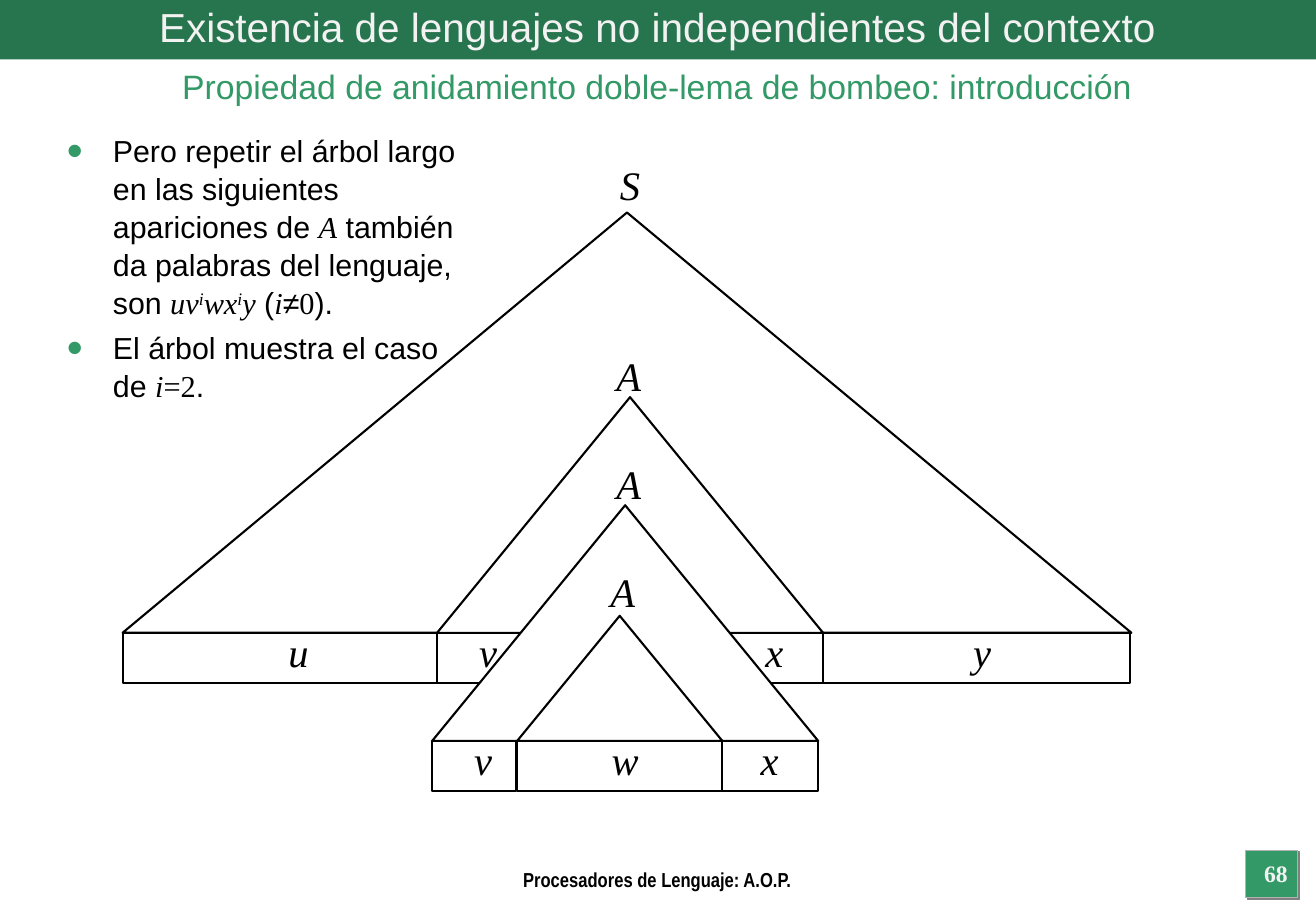
from dataclasses import dataclass

from lxml.etree import SubElement
from pptx import Presentation
from pptx.dml.color import RGBColor
from pptx.enum.shapes import MSO_SHAPE
from pptx.enum.text import MSO_ANCHOR, MSO_AUTO_SIZE, PP_ALIGN
from pptx.oxml.ns import qn
from pptx.shapes.autoshape import Shape
from pptx.slide import Slide
from pptx.util import Inches, Pt

COLORS = {"banner": "27754E", "green": "339966", "pale": "F2F2F2",
          "black": "000000", "white": "FFFFFF", "gray": "B2B2B2", "shade": "808080"}
SANS, NARROW, SERIF = "Arial", "Arial Narrow", "Times New Roman"
CELL_HEIGHT = 0.41
LABEL_WIDTH, LABEL_HEIGHT = 0.4, 0.5


@dataclass(frozen=True)
class Node:
    symbol: str
    label_center: float
    label_top: float
    left: float
    top: float
    width: float
    fill: str | None = "white"


@dataclass(frozen=True)
class Cell:
    symbol: str
    label_center: float
    left: float
    width: float


@dataclass(frozen=True)
class Tree:
    base: float
    nodes: tuple[Node, ...]
    cells: tuple[Cell, ...]


TREES = (
    Tree(5.21,
         (Node("S", 5.19, 1.27, 1.01, 1.75, 8.31, None),
          Node("A", 5.18, 2.84, 3.6, 3.27, 3.18)),
         (Cell("u", 2.46, 1.01, 2.59), Cell("v", 4.02, 3.6, 0.69),
          Cell("x", 6.38, 5.99, 0.79), Cell("y", 8.09, 6.78, 2.53))),
    Tree(6.1,
         (Node("A", 5.18, 3.73, 3.56, 4.16, 3.18),
          Node("A", 5.13, 4.62, 4.26, 5.07, 1.69)),
         (Cell("v", 3.98, 3.56, 0.69), Cell("w", 5.14, 4.26, 1.69),
          Cell("x", 6.34, 5.95, 0.79))),
)

MATH = {"font": SERIF, "italic": True}
POWER = MATH | {"raised": True}
BULLETS = (
    (("Pero repetir el árbol largo en las siguientes apariciones de ", {}),
     ("A", MATH), (" también da palabras del lenguaje, son ", {}),
     ("uv", MATH), ("i", POWER), ("wx", MATH), ("i", POWER), ("y", MATH),
     (" (", {}), ("i", MATH), ("≠", {}), ("0", {"font": SERIF}), (").", {})),
    (("El árbol muestra el caso de ", {}), ("i", MATH),
     ("=2", {"font": SERIF}), (".", {})),
)


def rgb(name: str) -> RGBColor:
    return RGBColor.from_string(COLORS[name])


def write(paragraph, text: str, *, size: float = 18, font: str = SANS,
          color: str = "black", bold: bool = False, italic: bool = False,
          raised: bool = False) -> None:
    run = paragraph.add_run()
    run.text = text
    run.font.size, run.font.name = Pt(size), font
    run.font.bold, run.font.italic = bold, italic
    run.font.color.rgb = rgb(color)
    if raised:
        run.font._element.set("baseline", "30000")


def place(shape: Shape, left: float, top: float, width: float, height: float) -> None:
    shape.left, shape.top = Inches(left), Inches(top)
    shape.width, shape.height = Inches(width), Inches(height)


def add_line_of_text(slide: Slide, text: str, left: float, top: float, width: float,
                     height: float, *, wrap: bool = True, **style) -> None:
    box = slide.shapes.add_textbox(Inches(left), Inches(top), Inches(width), Inches(height))
    box.text_frame.word_wrap = wrap
    paragraph = box.text_frame.paragraphs[0]
    paragraph.alignment = PP_ALIGN.CENTER
    write(paragraph, text, **style)


def add_outline(slide: Slide, kind: MSO_SHAPE, left: float, top: float, width: float,
                height: float, *, fill: str | None = None, line: str | None = "black",
                weight: float = 1.25) -> Shape:
    shape = slide.shapes.add_shape(kind, Inches(left), Inches(top), Inches(width), Inches(height))
    shape.shadow.inherit = False
    if fill:
        shape.fill.solid()
        shape.fill.fore_color.rgb = rgb(fill)
    else:
        shape.fill.background()
    if line:
        shape.line.color.rgb = rgb(line)
        shape.line.width = Pt(weight)
    else:
        shape.line.fill.background()
    return shape


def add_symbol(slide: Slide, symbol: str, center: float, top: float) -> None:
    add_line_of_text(slide, symbol, center - LABEL_WIDTH / 2, top, LABEL_WIDTH,
                     LABEL_HEIGHT, wrap=False, size=24, **MATH)


def draw_tree(slide: Slide, tree: Tree) -> None:
    """Draw nested triangles standing on a row of word parts."""
    for node in tree.nodes:
        add_outline(slide, MSO_SHAPE.ISOSCELES_TRIANGLE, node.left, node.top,
                    node.width, tree.base - node.top, fill=node.fill)
    for cell in tree.cells:
        add_outline(slide, MSO_SHAPE.RECTANGLE, cell.left, tree.base, cell.width, CELL_HEIGHT)
        add_symbol(slide, cell.symbol, cell.label_center, tree.base - 0.1)
    for node in tree.nodes:
        add_symbol(slide, node.symbol, node.label_center, node.label_top)


def add_bullet(paragraph) -> None:
    properties = paragraph._p.get_or_add_pPr()
    properties.set("marL", str(Inches(0.38)))
    properties.set("indent", str(-Inches(0.38)))
    tint = SubElement(properties, qn("a:buClr"))
    SubElement(tint, qn("a:srgbClr"), val=COLORS["green"])
    SubElement(properties, qn("a:buSzPct"), val="150000")
    SubElement(properties, qn("a:buFont"), typeface=SANS)
    SubElement(properties, qn("a:buChar"), char="•")


def fill_title(slide: Slide) -> None:
    title = slide.shapes.title
    place(title, 0, 0, 10.83, 0.44)
    frame = title.text_frame
    frame.auto_size = MSO_AUTO_SIZE.NONE
    frame.vertical_anchor = MSO_ANCHOR.MIDDLE
    frame.paragraphs[0].alignment = PP_ALIGN.CENTER
    write(frame.paragraphs[0], "Existencia de lenguajes no independientes del contexto",
          size=24, color="pale")


def fill_body(slide: Slide) -> None:
    body = slide.placeholders[1]
    place(body, 0.45, 1.03, 3.44, 3.2)
    frame = body.text_frame
    frame.auto_size = MSO_AUTO_SIZE.NONE
    for index, pieces in enumerate(BULLETS):
        paragraph = frame.add_paragraph() if index else frame.paragraphs[0]
        add_bullet(paragraph)
        paragraph.space_before = Pt(4.5 if index else 0)
        paragraph.line_spacing = 1.04
        for text, style in pieces:
            write(paragraph, text, **style)


def add_page_number(slide: Slide) -> None:
    badge = add_outline(slide, MSO_SHAPE.RECTANGLE, 10.26, 7, 0.43, 0.39,
                        fill="green", line="gray", weight=0.75)
    effects = badge._element.spPr.find(qn("a:effectLst"))
    shadow = SubElement(effects, qn("a:outerShdw"), dist=str(Pt(1.4)), dir="2700000")
    SubElement(shadow, qn("a:srgbClr"), val=COLORS["shade"])
    add_line_of_text(slide, "68", 10.24, 7.02, 0.54, 0.35, size=14,
                     font=SERIF, color="pale", bold=True)


def main() -> None:
    presentation = Presentation()
    presentation.slide_width, presentation.slide_height = Inches(10.84), Inches(7.5)
    slide = presentation.slides.add_slide(presentation.slide_layouts[1])
    banner = add_outline(slide, MSO_SHAPE.RECTANGLE, 0, 0, 10.84, 0.49, fill="banner", line=None)
    slide.shapes.title._element.addprevious(banner._element)
    fill_title(slide)
    fill_body(slide)
    add_line_of_text(slide, "Propiedad de anidamiento doble-lema de bombeo: introducción",
                     0, 0.49, 10.83, 0.44, size=20, color="green")
    for tree in TREES:
        draw_tree(slide, tree)
    add_line_of_text(slide, "Procesadores de Lenguaje: A.O.P.", 3.01, 7.09, 4.81, 0.18,
                     size=12, font=NARROW, bold=True)
    add_page_number(slide)
    presentation.save("out.pptx")


if __name__ == "__main__":
    main()
